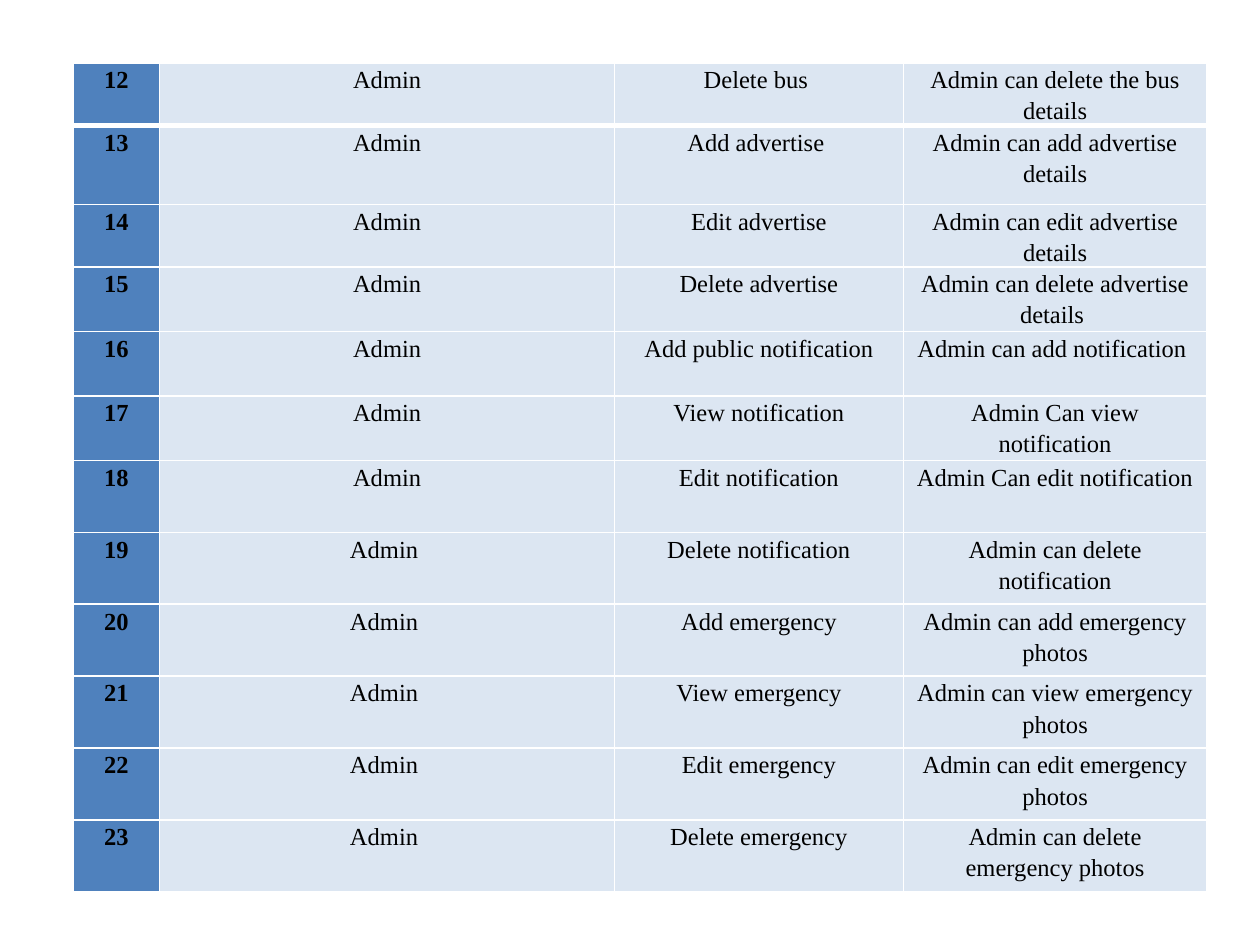
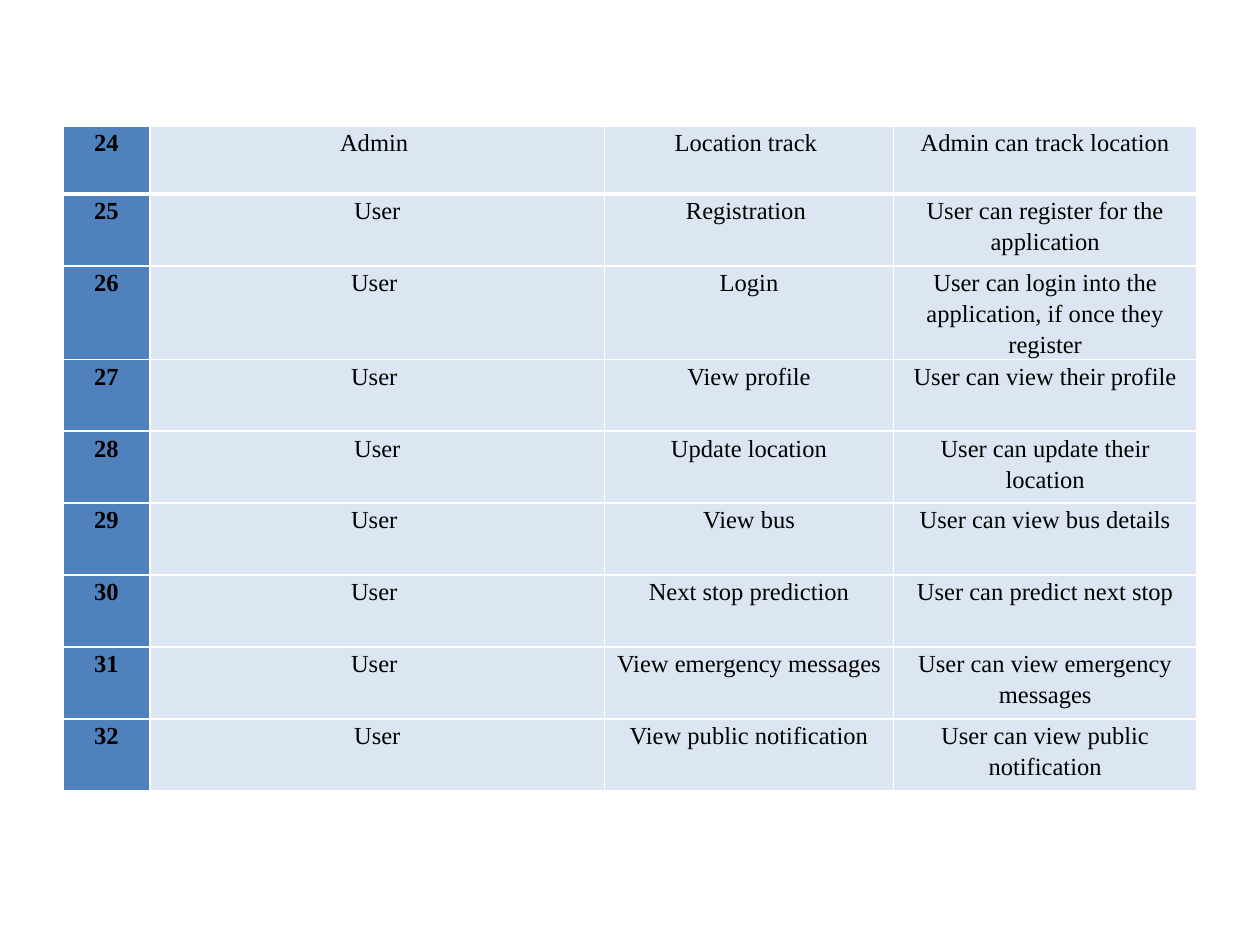
from lxml import etree
from pptx import Presentation
from pptx import util as u
from pptx.dml.color import RGBColor
from pptx.enum import text as t
from pptx.oxml import ns

# Shared look
BLUE = RGBColor(0x4F, 0x81, 0xBD)
PALE_BLUE = RGBColor(0xDC, 0xE6, 0xF2)
WHITE = RGBColor(0xFF, 0xFF, 0xFF)
BLACK = RGBColor(0x00, 0x00, 0x00)
FONT = "Times New Roman"
COLUMN_WIDTHS = (1.75, 9.17, 5.82, 6.12)
SHORT, MEDIUM, TALL = 1.14, 1.3, 1.45

# Each row: height in cm, role, function, description
ADMIN_ROWS = [
    (SHORT, "Admin", "Delete bus ", "Admin can delete the bus details"),
    (1.6, "Admin", "Add advertise ", "Admin can add advertise details"),
    (SHORT, "Admin", "Edit advertise", "Admin can edit advertise details"),
    (MEDIUM, "Admin", "Delete advertise", "Admin can delete advertise details "),
    (MEDIUM, "Admin", "Add public notification", "Admin can add notification "),
    (MEDIUM, "Admin", "View notification", "Admin Can view notification"),
    (TALL, "Admin", "Edit notification", "Admin Can edit notification"),
    (TALL, "Admin ", "Delete notification", "Admin can delete notification"),
    (TALL, "Admin ", "Add emergency", "Admin can add emergency photos"),
    (TALL, "Admin ", "View emergency", "Admin can view emergency photos"),
    (TALL, "Admin ", "Edit emergency", "Admin can edit emergency photos"),
    (TALL, "Admin ", "Delete emergency", "Admin can delete emergency photos"),
]
USER_ROWS = [
    (1.37, "Admin ", "Location track ", "Admin can track location"),
    (TALL, "User", "Registration ", "User can register for the application"),
    (TALL, "User ", "Login",
     "User can login into the application, if once they register"),
    (TALL, "User ", "View profile", "User can view their profile"),
    (TALL, "User", "Update location", "User can update their location"),
    (TALL, "User ", "View bus", "User can view bus details"),
    (TALL, "User ", "Next stop prediction", "User can predict next stop"),
    (TALL, "User ", "View emergency messages", "User can view emergency messages"),
    (TALL, "User", "View public notification", "User can view public notification"),
]

# Left, top, first number, rows
TABLES = [(1.47, 1.27, 12, ADMIN_ROWS), (1.27, 2.54, 24, USER_ROWS)]


def write_cell(cell, text, *, fill, bold=False, size=14, color=BLACK):
    cell.margin_left = cell.margin_right = u.Cm(0.18)
    cell.margin_top = cell.margin_bottom = 0
    cell.fill.solid()
    cell.fill.fore_color.rgb = fill
    para = cell.text_frame.paragraphs[0]
    para.alignment = t.PP_ALIGN.CENTER
    para.line_spacing = 1.15
    para.space_after = u.Pt(10)
    span = para.add_run()
    span.text = text
    span.font.name = FONT
    span.font.size = u.Pt(size)
    span.font.bold = bold
    span.font.color.rgb = color


def add_borders(cell, top=1, bottom=1):
    properties = cell._tc.get_or_add_tcPr()
    for side, width in (("L", 1), ("R", 1), ("T", top), ("B", bottom)):
        line = etree.SubElement(properties, ns.qn(f"a:ln{side}"), w=str(u.Pt(width)))
        line_fill = etree.SubElement(line, ns.qn("a:solidFill"))
        etree.SubElement(line_fill, ns.qn("a:srgbClr"), val=str(WHITE))


deck = Presentation()
deck.slide_width, deck.slide_height = u.Cm(25.4), u.Cm(19.05)

for left, top, first_number, rows in TABLES:
    page = deck.slides.add_slide(deck.slide_layouts[6])
    table_height = sum(row[0] for row in rows)
    table = page.shapes.add_table(
        len(rows), len(COLUMN_WIDTHS), u.Cm(left), u.Cm(top),
        u.Cm(sum(COLUMN_WIDTHS)), u.Cm(table_height)).table
    table.horz_banding = False
    for column, width in zip(table.columns, COLUMN_WIDTHS):
        column.width = u.Cm(width)

    # Numbered rows, with a thick rule under the first
    for index, (height, *entries) in enumerate(rows):
        table.rows[index].height = u.Cm(height)
        for position, entry in enumerate([str(first_number + index), *entries]):
            cell = table.cell(index, position)
            is_number = position == 0
            add_borders(cell, top=3 if index == 1 else 1, bottom=3 if index == 0 else 1)
            write_cell(cell, entry, fill=BLUE if is_number else PALE_BLUE, bold=is_number)

deck.save("out.pptx")
